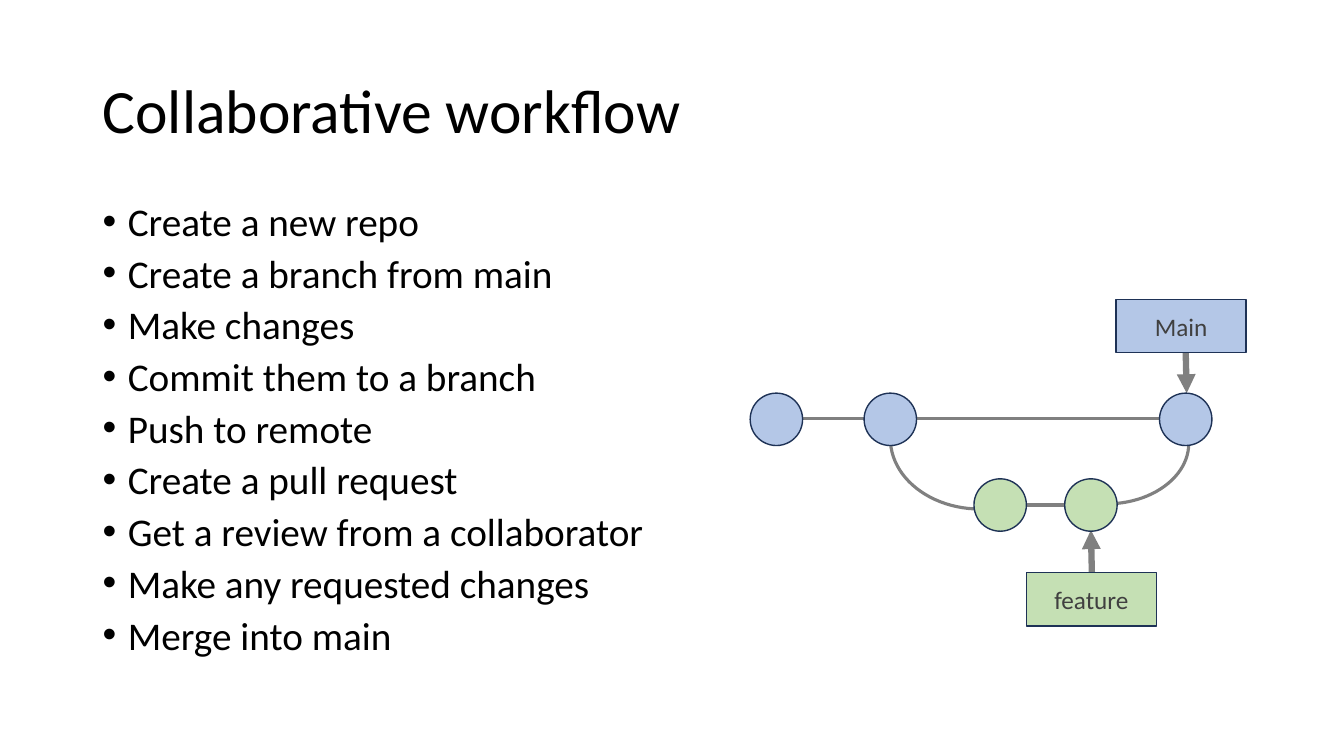
"""Build the collaborative workflow slide with its branch diagram."""
from lxml.etree import SubElement
from pptx import Presentation
from pptx.dml.color import RGBColor
from pptx.enum.shapes import MSO_CONNECTOR, MSO_SHAPE
from pptx.enum.text import MSO_ANCHOR, PP_ALIGN
from pptx.oxml.ns import qn
from pptx.util import Inches, Pt

BLACK = RGBColor(0x00, 0x00, 0x00)
GRAY = RGBColor(0x80, 0x80, 0x80)
DARK_GRAY = RGBColor(0x40, 0x40, 0x40)
NAVY = RGBColor(0x1E, 0x32, 0x56)
BLUE = RGBColor(0xB4, 0xC7, 0xE7)
GREEN = RGBColor(0xC5, 0xE0, 0xB4)

STEPS = [
    "Create a new repo",
    "Create a branch from main",
    "Make changes",
    "Commit them to a branch",
    "Push to remote",
    "Create a pull request",
    "Get a review from a collaborator",
    "Make any requested changes",
    "Merge into main",
]
COMMIT_SIZE = 0.52
MAIN_Y, FEATURE_Y = 3.9, 4.75


def write(p, text, size, color, **paragraph_format):
    for name, value in paragraph_format.items():
        setattr(p, name, value)
    r = p.add_run()
    r.text = text
    for name, value in {"name": "Calibri", "size": Pt(size)}.items():
        setattr(r.font, name, value)
    r.font.color.rgb = color


def add_outlined(kind, box, fill):
    sp = s.shapes.add_shape(kind, *map(Inches, box))
    sp.shadow.inherit = False
    sp.fill.solid()
    sp.fill.fore_color.rgb = fill
    sp.line.color.rgb = NAVY
    sp.line.width = Pt(1)
    return sp


prs = Presentation()
prs.slide_width, prs.slide_height = Inches(13.33), Inches(7.5)
s = prs.slides.add_slide(prs.slide_layouts[6])

for start, end, width in [
    ((11.76, 3.49), (11.77, 3.9), 4.5),
    ((10.83, 5.71), (10.82, 5.26), 4.5),
    ((11.5, 4.15), (9.07, 4.15), 2.25),
    ((10.7, 5.01), (10.03, 5.01), 2.25),
    ((8.62, 4.15), (7.94, 4.15), 2.25),
]:
    line = s.shapes.add_connector(MSO_CONNECTOR.STRAIGHT, *map(Inches, start + end))
    line.line.color.rgb = GRAY
    line.line.width = Pt(width)
    if width == 4.5:
        SubElement(line.line._get_or_add_ln(), qn("a:tailEnd"), type="triangle")
    SubElement(line._element.spPr, qn("a:effectLst"))

for box, rotation in [((10.37, 3.58, 1.2, 1.64), 90), ((8.83, 3.65, 1.78, 1.4), 180)]:
    arc = s.shapes.add_shape(MSO_SHAPE.ARC, *map(Inches, box))
    arc.rotation = rotation
    arc.shadow.inherit = False
    arc.fill.background()
    arc.line.color.rgb = GRAY
    arc.line.width = Pt(2.25)

title = s.shapes.add_textbox(*map(Inches, (0.92, 0.4, 11.5, 1.45)))
tf = title.text_frame
tf.word_wrap = True
tf.vertical_anchor = MSO_ANCHOR.MIDDLE
write(tf.paragraphs[0], "Collaborative workflow", 44, BLACK, line_spacing=0.9)

body = s.shapes.add_textbox(*map(Inches, (0.92, 2, 5.84, 4.76)))
tf = body.text_frame
tf.word_wrap = True
for i, step in enumerate(STEPS):
    p = tf.add_paragraph() if i else tf.paragraphs[0]
    write(p, step, 28, BLACK, line_spacing=0.8, space_before=Pt(10))
    pPr = p._p.get_or_add_pPr()
    pPr.set("marL", str(Inches(0.25)))
    pPr.set("indent", str(Inches(-0.25)))
    SubElement(pPr, qn("a:buFont"), typeface="Arial")
    SubElement(pPr, qn("a:buChar"), char="•")

for x, y, fill in [
    (7.44, MAIN_Y, BLUE),
    (8.57, MAIN_Y, BLUE),
    (9.66, FEATURE_Y, GREEN),
    (10.56, FEATURE_Y, GREEN),
    (11.5, MAIN_Y, BLUE),
]:
    add_outlined(MSO_SHAPE.OVAL, (x, y, COMMIT_SIZE, COMMIT_SIZE), fill)

for branch, x, y, fill in [("Main", 11.07, 2.97, BLUE), ("feature", 10.18, 5.68, GREEN)]:
    label = add_outlined(MSO_SHAPE.RECTANGLE, (x, y, 1.29, 0.53), fill)
    tf = label.text_frame
    tf.vertical_anchor = MSO_ANCHOR.MIDDLE
    write(tf.paragraphs[0], branch, 18, DARK_GRAY, alignment=PP_ALIGN.CENTER)

prs.save("out.pptx")
